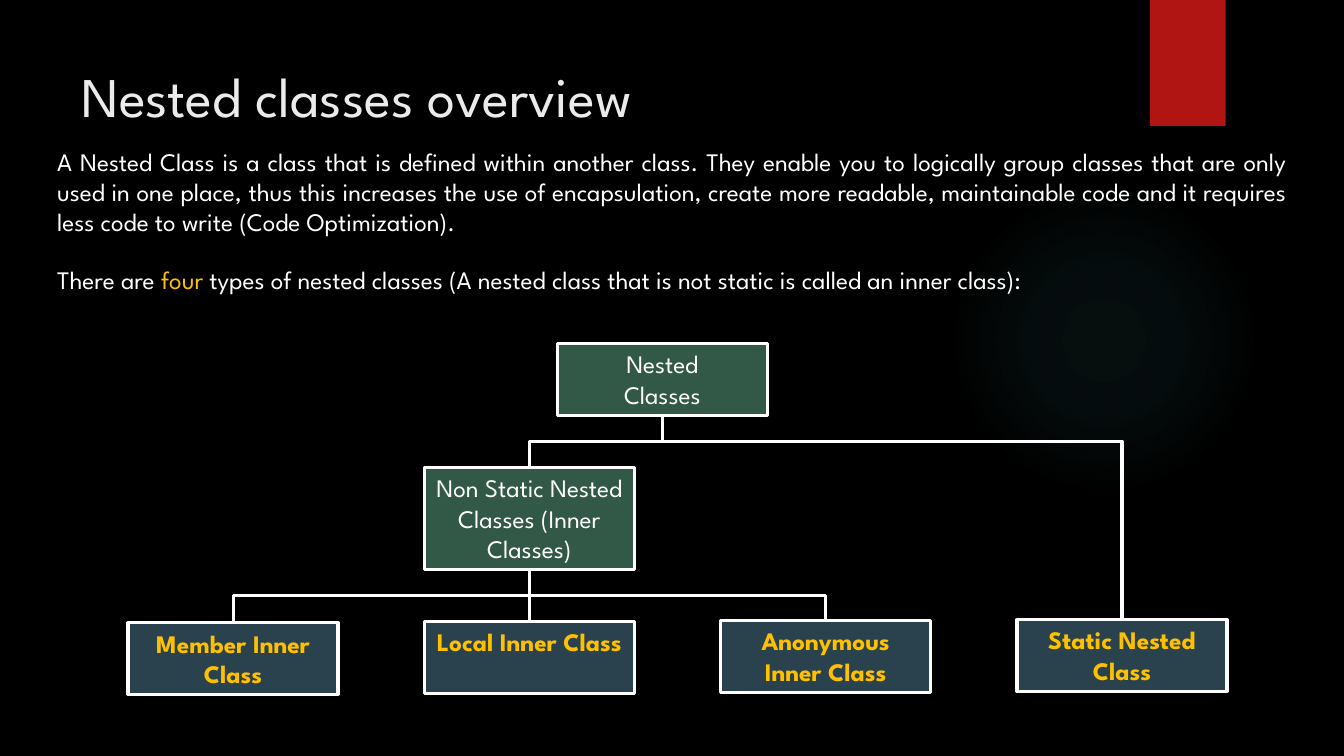
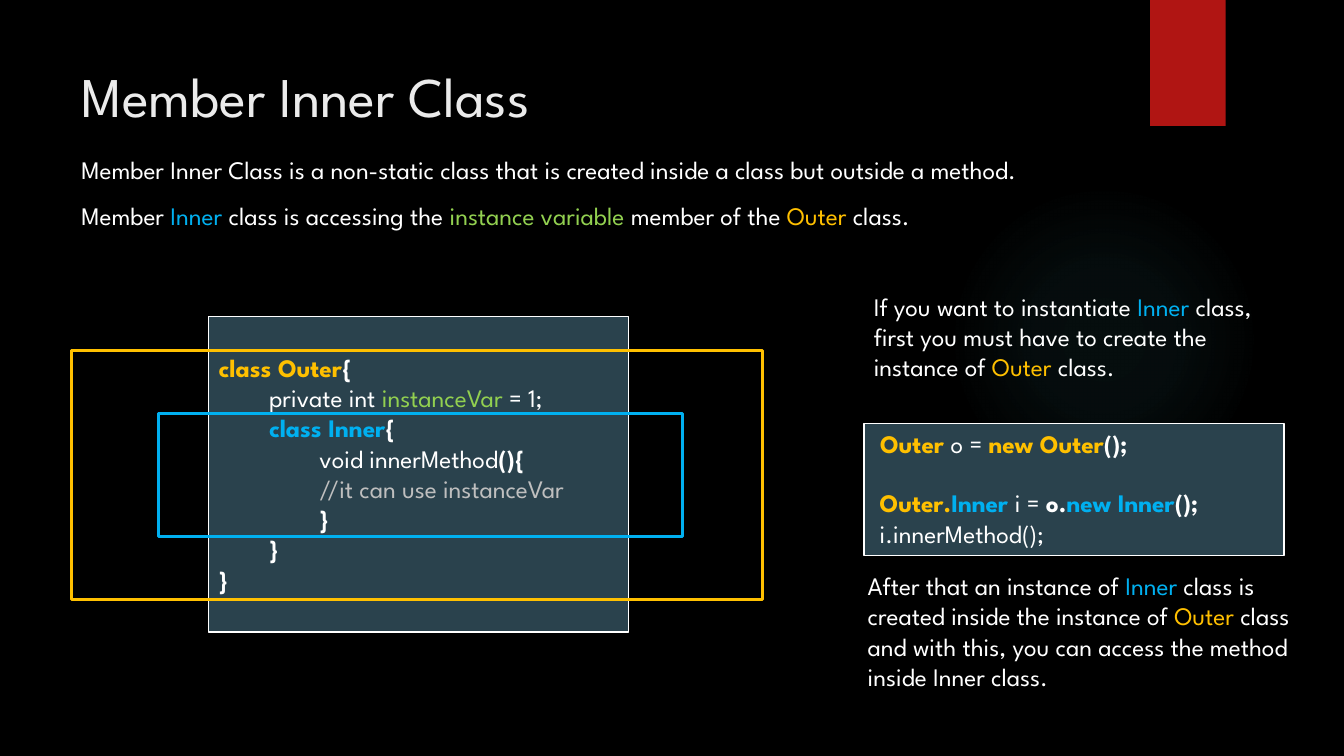
from dataclasses import dataclass

from pptx import Presentation
from pptx.dml.color import RGBColor
from pptx.enum.shapes import MSO_CONNECTOR, MSO_SHAPE
from pptx.enum.text import MSO_ANCHOR, PP_ALIGN
from pptx.oxml import parse_xml
from pptx.oxml.ns import nsdecls
from pptx.util import Emu, Pt


@dataclass(frozen=True)
class Theme:
    """Colours, type and line sizes of the deck."""
    font: str = "League Spartan"
    head: int = 40
    body: int = 18
    thick: float = 2.25
    thin: float = 1
    back: str = "000000"
    title: str = "EBEBEB"
    white: str = "FFFFFF"
    gold: str = "FFC000"
    blue: str = "00B0F0"
    lime: str = "92D050"
    grey: str = "BFBFBF"
    red: str = "B01513"
    green: str = "325948"
    slate: str = "2A424D"
    glow: str = "50B9C1"


T = Theme()
COLS, ROWS = 64, 36
CELL = 12192000 / COLS
DROP = 1.25


def unit(count):
    """Turn grid cells into a length."""
    return Emu(round(count * CELL))


def grid(*spot):
    """Turn left, top, width and height in cells into lengths."""
    return [unit(part) for part in spot]


def tint(text, hue=T.white, bold=False):
    """Describe one run."""
    return text, hue, bold


def strong(text, hue=T.white):
    """Describe one bold run."""
    return tint(text, hue, True)


def write(frame, paras, align=PP_ALIGN.LEFT, size=T.body, depths=()):
    """Fill a text frame run by run, one list of runs a paragraph."""
    frame.word_wrap = True
    for n, runs in enumerate(paras):
        para = frame.paragraphs[0] if n == 0 else frame.add_paragraph()
        para.alignment = align
        if depths:
            para._p.get_or_add_pPr().set("marL", str(unit(2.4 * depths[n])))
        for text, hue, bold in runs:
            run = para.add_run()
            run.text = text
            font = run.font
            font.name, font.size, font.bold = T.font, Pt(size), bold
            font.color.rgb = RGBColor.from_string(hue)


def panel(slide, spot, fill=None, line=None, width=T.thick, kind=MSO_SHAPE.RECTANGLE):
    """Draw a flat shape with its text at the top."""
    shape = slide.shapes.add_shape(kind, *grid(*spot))
    shape.shadow.inherit = False
    if fill:
        shape.fill.solid()
        shape.fill.fore_color.rgb = RGBColor.from_string(fill)
    else:
        shape.fill.background()
    if line:
        shape.line.color.rgb = RGBColor.from_string(line)
        shape.line.width = Pt(width)
    else:
        shape.line.fill.background()
    shape.text_frame.vertical_anchor = MSO_ANCHOR.TOP
    return shape


def note(slide, spot, *runs, align=PP_ALIGN.LEFT):
    """Add a paragraph of plain text."""
    write(slide.shapes.add_textbox(*grid(*spot)).text_frame, [runs], align)


def node(slide, spot, fill, *paras):
    """Draw one box of the class tree."""
    shape = panel(slide, spot, fill, T.white)
    write(shape.text_frame, [[para] for para in paras], PP_ALIGN.CENTER)
    return shape


def link(slide, top, low):
    """Join two boxes, bending at a fixed drop below the upper one."""
    x1, y1 = top.left + top.width // 2, top.top + top.height
    x2, y2 = low.left + low.width // 2, low.top
    bent = abs(x2 - x1) > unit(0.1)
    kind = MSO_CONNECTOR.ELBOW if bent else MSO_CONNECTOR.STRAIGHT
    wire = slide.shapes.add_connector(kind, x1, y1, x2, y2)
    wire.begin_connect(top, 2)
    wire.end_connect(low, 0)
    wire.line.color.rgb = RGBColor.from_string(T.white)
    wire.line.width = Pt(T.thick)
    props = wire.element.spPr
    props.append(parse_xml(f'<a:effectLst {nsdecls("a")}/>'))
    if bent:
        wide, high = y2 - y1, abs(x2 - x1)
        wire.left, wire.top = (x1 + x2 - wide) // 2, (y1 + y2 - high) // 2
        wire.width, wire.height = wide, high
        right = x2 > x1
        frame = props.xfrm
        frame.set("rot", str((270 if right else 90) * 60000))
        frame.set("flipH", str(int(right)))
        frame.set("flipV", "0")
        ratio = round(unit(DROP) / wide * 100000)
        guides = props.prstGeom.get_or_add_avLst()
        guides.append(parse_xml(
            f'<a:gd {nsdecls("a")} name="adj1" fmla="val {ratio}"/>'))


def shine(shape):
    """Give a shape a soft radial glow."""
    stops = "".join(
        f'<a:gs pos="{pos * 1000}"><a:srgbClr val="{T.glow}">'
        f'<a:alpha val="{part * 1000}"/></a:srgbClr></a:gs>'
        for pos, part in ((0, 7), (36, 6), (69, 0)))
    fill = parse_xml(
        f'<a:gradFill {nsdecls("a")}><a:gsLst>{stops}</a:gsLst><a:path path="circle">'
        '<a:fillToRect l="50000" t="50000" r="50000" b="50000"/></a:path></a:gradFill>')
    props = shape.element.spPr
    props.replace(props.eachFill, fill) if hasattr(props, "eachFill") else \
        props.replace(props.find("{*}noFill"), fill)


def adorn(deck, layout, slide):
    """Set the shared backdrop, title place, glow and band."""
    fill = deck.slide_master.background.fill
    fill.solid()
    fill.fore_color.rgb = RGBColor.from_string(T.back)
    title = layout.placeholders[0]
    title.left, title.top, title.width, title.height = grid(3.4, 2.4, 51.65, 4.22)
    glow = panel(slide, (45.17, 8.78, 14.78, 14.78), kind=MSO_SHAPE.OVAL)
    shine(glow)
    band = panel(slide, (54.77, 0, 3.6, 6), T.red)
    for n, shape in enumerate((glow, band), 20):
        shape.element.nvSpPr.cNvPr.set("id", str(n))
        layout.shapes.element.append(shape.element)


def start(deck, layout, text):
    """Add a slide with its title."""
    slide = deck.slides.add_slide(layout)
    frame = slide.shapes.title.text_frame
    frame.vertical_anchor = MSO_ANCHOR.MIDDLE
    write(frame, [[tint(text, T.title)]], size=T.head)
    return slide


def tree(slide):
    """Fill the slide on the kinds of nested class."""
    note(slide, (2.25, 6.72, 59.52, 4.85), tint(
        "A Nested Class is a class that is defined within another class. They enable "
        "you to logically group classes that are only used in one place, thus this "
        "increases the use of encapsulation, create more readable, maintainable code "
        "and it requires less code to write (Code Optimization)."),
        align=PP_ALIGN.JUSTIFY)
    note(slide, (2.25, 12.34, 59.66, 3.4), tint("There are "), tint("four ", T.gold),
         tint("types of nested classes (A nested class that is not static is called "
              "an inner class):"))
    root = node(slide, (26.54, 16.37, 10, 3.4), T.green, tint("Nested"), tint("Classes"))
    inner = node(slide, (20.21, 22.27, 10, 4.85), T.green,
                 tint("Non Static Nested Classes (Inner Classes)"))
    names = ("Member Inner Class", "Local Inner Class",
             "Anonymous Inner Class", "Static Nested Class")
    leaves = [node(slide, (6.1 + 14.11 * n, 29.66 - 0.05 * n, 10, 3.4), T.slate,
                   strong(name, T.gold)) for n, name in enumerate(names)]
    link(slide, root, inner)
    link(slide, root, leaves[-1])
    for leaf in leaves[:-1]:
        link(slide, inner, leaf)


def member(slide):
    """Fill the slide on the member inner class."""
    note(slide, (3.4, 7.1, 57.17, 1.92), tint(
        "Member Inner Class is a non-static class that is created inside a class "
        "but outside a method."))
    code = panel(slide, (9.94, 15.07, 20, 15.02), T.slate, T.white, T.thin).text_frame
    code.margin_top = unit(1.7)
    write(code, [
        [strong("class Outer", T.gold), strong("{")],
        [tint("private int "), tint("instanceVar ", T.lime), tint("= 1;")],
        [strong("class Inner", T.blue), strong("{")],
        [tint("void innerMethod"), strong("(){")],
        [tint("//it can use instanceVar", T.grey)],
        [strong("}")],
        [strong("}")],
        [strong("}")],
    ], depths=(0, 1, 1, 2, 2, 2, 1, 0))
    make = panel(slide, (41.14, 20.16, 20, 6.29), T.slate, T.white, T.thin).text_frame
    make.margin_left = unit(0.77)
    write(make, [[strong("Outer ", T.gold), tint("o = "),
                  strong("new Outer", T.gold), strong("();")]])
    panel(slide, (7.54, 19.68, 24.96, 5.86), line=T.blue)
    panel(slide, (3.4, 16.7, 32.93, 11.86), line=T.gold)
    note(slide, (3.4, 9.31, 57.55, 1.92), tint("Member "), tint("Inner ", T.blue),
         tint("class is accessing the "), tint("instance variable ", T.lime),
         tint("member of the "), tint("Outer", T.gold), tint(" class."))
    note(slide, (41.14, 13.63, 21.07, 4.85), tint("If you want to instantiate "),
         tint("Inner", T.blue),
         tint(" class, first you must have to create the instance of "),
         tint("Outer", T.gold), tint(" class."))
    note(slide, (40.85, 26.93, 22.56, 6.29), tint("After that an instance of "),
         tint("Inner ", T.blue), tint("class is created inside the instance of "),
         tint("Outer ", T.gold),
         tint("class and with this, you can access the method inside Inner class."))
    call = panel(slide, (41.42, 22.99, 17.52, 3.4), T.slate)
    write(call.text_frame, [
        [strong("Outer.", T.gold), strong("Inner ", T.blue), tint("i = "),
         strong("o."), strong("new Inner", T.blue), strong("();")],
        [tint("i.innerMethod();")],
    ])


def main():
    """Build and save the deck."""
    deck = Presentation()
    deck.slide_width, deck.slide_height = unit(COLS), unit(ROWS)
    layout = deck.slide_layouts[5]
    first = start(deck, layout, "Nested classes overview")
    adorn(deck, layout, first)
    tree(first)
    member(start(deck, layout, "Member Inner Class"))
    deck.save("out.pptx")


if __name__ == "__main__":
    main()
